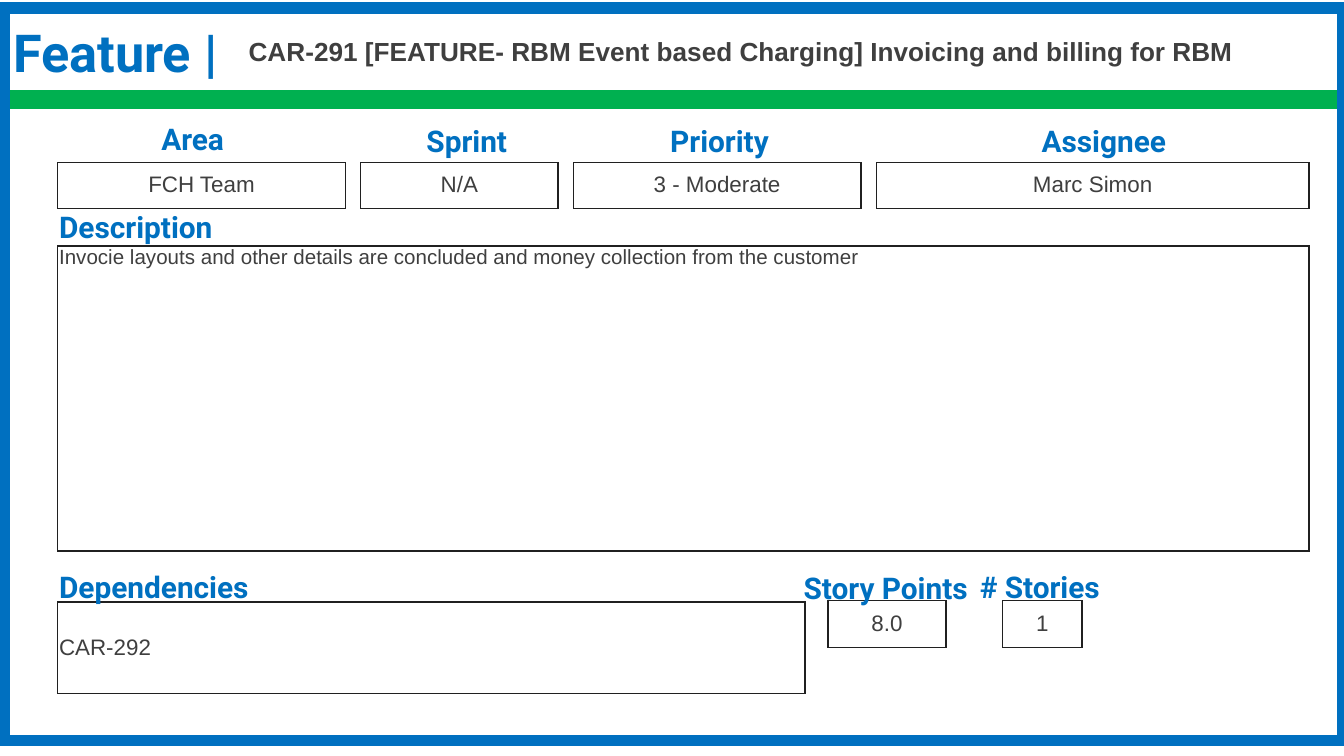
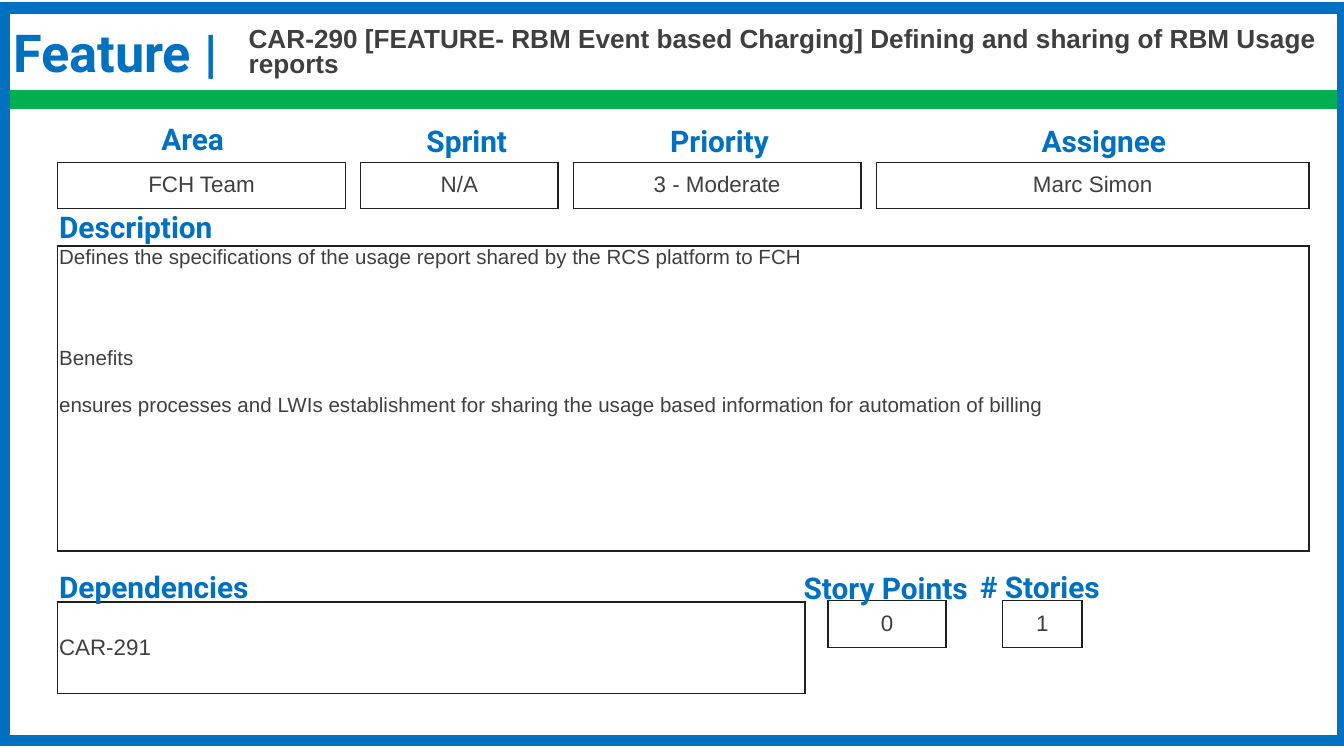
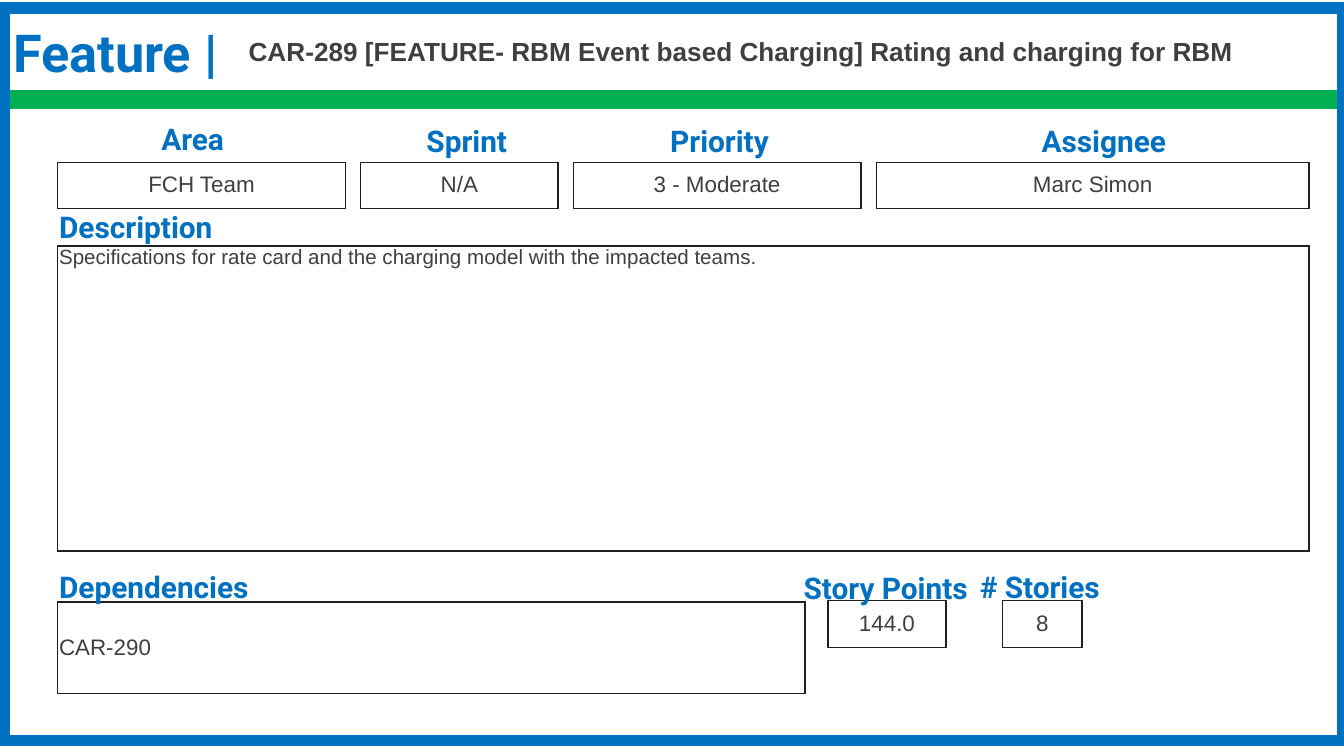
from dataclasses import dataclass
from typing import NamedTuple

from lxml.etree import SubElement
from pptx import Presentation
from pptx.dml.color import RGBColor
from pptx.enum.shapes import MSO_SHAPE
from pptx.enum.text import MSO_ANCHOR, PP_ALIGN
from pptx.oxml.ns import qn
from pptx.util import Inches, Pt


class Box(NamedTuple):
    left: float
    top: float
    width: float
    height: float

    def inside(self, left, top, width, height):
        return Box(self.left + left, self.top + top, width, height)

    def lengths(self):
        return [Inches(value) for value in self]


@dataclass(frozen=True)
class TextStyle:
    name: str
    size: float
    color: RGBColor
    bold: bool = False
    line_spacing: float = 1.0

    def font_format(self):
        return {"name": self.name, "size": Pt(self.size), "bold": self.bold}


@dataclass(frozen=True)
class Theme:
    blue = RGBColor(0x00, 0x70, 0xC0)
    green = RGBColor(0x00, 0xB0, 0x50)
    ink = RGBColor(0x3F, 0x3F, 0x3F)
    outline = RGBColor(0x20, 0x20, 0x20)
    outline_width = 0.75
    frame_width = 6
    kind = TextStyle("Roboto", 28, blue, True, 0.8)
    headline = TextStyle("Arial", 14, ink, True, 0.8)
    label = TextStyle("Roboto", 16, blue, True)
    value = TextStyle("Arial", 12, ink, line_spacing=0.9)
    description = TextStyle("Arial", 11, ink, line_spacing=0.9)


@dataclass(frozen=True)
class Feature:
    headline: str
    description: tuple
    dependency: str
    points: str
    stories: str
    area: str = "FCH Team"
    sprint: str = "N/A"
    priority: str = "3 - Moderate"
    assignee: str = "Marc Simon"


THEME = Theme()
SLIDE_WIDTH = 10
SLIDE_HEIGHT = SLIDE_WIDTH * 9 / 16
FRAME = Box(0.03, 0.06, 9.96, 5.45)
BAND = Box(0.03, 0.67, 9.96, 0.14)
HEADER = Box(0, 0.12, 9.92, 0.56)
SUMMARY = Box(0.43, 1.21, 9.31, 0.34)
DESCRIPTION = Box(0.43, 1.83, 9.31, 2.27)
FOOTER = Box(0.43, 4.47, 9.31, 0.69)

FEATURES = [
    Feature(
        "CAR-291 [FEATURE- RBM Event based Charging] Invoicing and billing for RBM",
        (("Invocie layouts and other details are concluded and money collection from the customer", 0),),
        "CAR-292", "8.0", "1",
    ),
    Feature(
        "CAR-290 [FEATURE- RBM Event based Charging] Defining and sharing of RBM Usage reports",
        (
            ("Defines the specifications of the usage report shared by the RCS platform to FCH", 0),
            ("Benefits", 42),
            ("ensures processes and LWIs establishment for sharing the usage based information "
             "for automation of billing", 13),
        ),
        "CAR-291", "0", "1",
    ),
    Feature(
        "CAR-289 [FEATURE- RBM Event based Charging] Rating and charging for RBM",
        (("Specifications for rate card and the charging model with the impacted teams.", 0),),
        "CAR-290", "144.0", "8",
    ),
]


def apply_format(target, values):
    for name, value in values.items():
        setattr(target, name, value)


def write_text(shape, paragraphs, style, anchor, margins, alignment=PP_ALIGN.LEFT):
    text_frame = shape.text_frame
    horizontal, vertical = (Inches(margin) for margin in margins)
    apply_format(text_frame, {
        "word_wrap": True,
        "vertical_anchor": anchor,
        "margin_left": horizontal,
        "margin_right": horizontal,
        "margin_top": vertical,
        "margin_bottom": vertical,
    })
    for index, (text, space_before) in enumerate(paragraphs):
        paragraph = text_frame.add_paragraph() if index else text_frame.paragraphs[0]
        apply_format(paragraph, {"alignment": alignment, "line_spacing": style.line_spacing})
        if space_before:
            paragraph.space_before = Pt(space_before)
        run = paragraph.add_run()
        run.text = text
        apply_format(run.font, style.font_format())
        run.font.color.rgb = style.color


def add_text(slide, box, text, style, anchor=MSO_ANCHOR.TOP, margins=(0, 0)):
    shape = slide.shapes.add_textbox(*box.lengths())
    write_text(shape, [(text, 0)], style, anchor, margins)


def add_rectangle(slide, box, fill=None, line=None, line_width=0):
    shape = slide.shapes.add_shape(MSO_SHAPE.RECTANGLE, *box.lengths())
    shape.shadow.inherit = False
    if fill is None:
        shape.fill.background()
    else:
        shape.fill.solid()
        shape.fill.fore_color.rgb = fill
    if line is None:
        shape.line.fill.background()
    else:
        shape.line.color.rgb = line
        shape.line.width = Pt(line_width)
        outline = shape.element.spPr.find(qn("a:ln"))
        SubElement(outline, qn("a:miter")).set("lim", "800000")
    return shape


def add_field(slide, box, label, label_offset, paragraphs, style=THEME.value,
              anchor=MSO_ANCHOR.MIDDLE, alignment=PP_ALIGN.CENTER):
    rectangle = add_rectangle(slide, box, line=THEME.outline, line_width=THEME.outline_width)
    write_text(rectangle, paragraphs, style, anchor, (0.01, 0.01), alignment)
    add_text(slide, box.inside(*label_offset, 1.58, 0.16), label, THEME.label)


def add_header(slide, box, headline):
    add_text(slide, box.inside(0, 0.07, 1.79, 0.28), "Feature |", THEME.kind, margins=(0.1, 0.05))
    add_text(slide, box.inside(1.85, 0, box.width - 1.85, box.height), headline,
             THEME.headline, MSO_ANCHOR.MIDDLE)


def add_summary(slide, box, feature):
    fields = [
        ("Area", feature.area, 2.14, (0.77, -0.31)),
        ("Sprint", feature.sprint, 1.47, (0.49, -0.3)),
        ("Priority", feature.priority, 2.14, (0.72, -0.3)),
        ("Assignee", feature.assignee, 3.22, (1.23, -0.3)),
    ]
    gap = (box.width - sum(width for _, _, width, _ in fields)) / (len(fields) - 1)
    left = 0
    for label, value, width, label_offset in fields:
        add_field(slide, box.inside(left, 0, width, box.height), label, label_offset, [(value, 0)])
        left += width + gap


def add_description(slide, box, paragraphs):
    add_field(slide, box, "Description", (0.01, -0.28), paragraphs,
              THEME.description, MSO_ANCHOR.TOP, PP_ALIGN.LEFT)


def add_footer(slide, box, feature):
    add_field(slide, box.inside(0, 0.01, 5.56, 0.68), "Dependencies", (0.01, -0.25),
              [(feature.dependency, 0)], alignment=PP_ALIGN.LEFT)
    add_field(slide, box.inside(5.73, 0, 0.88, 0.35), "Story Points", (-0.18, -0.23),
              [(feature.points, 0)])
    add_field(slide, box.inside(7.03, 0, 0.59, 0.35), "# Stories", (-0.17, -0.24),
              [(feature.stories, 0)])


def add_feature_slide(presentation, feature):
    slide = presentation.slides.add_slide(presentation.slide_layouts[6])
    add_header(slide, HEADER, feature.headline)
    add_summary(slide, SUMMARY, feature)
    add_description(slide, DESCRIPTION, feature.description)
    add_footer(slide, FOOTER, feature)
    add_rectangle(slide, BAND, fill=THEME.green)
    add_rectangle(slide, FRAME, line=THEME.blue, line_width=THEME.frame_width)


def main():
    presentation = Presentation()
    apply_format(presentation, {
        "slide_width": Inches(SLIDE_WIDTH),
        "slide_height": Inches(SLIDE_HEIGHT),
    })
    for feature in FEATURES:
        add_feature_slide(presentation, feature)
    presentation.save("out.pptx")


if __name__ == "__main__":
    main()
